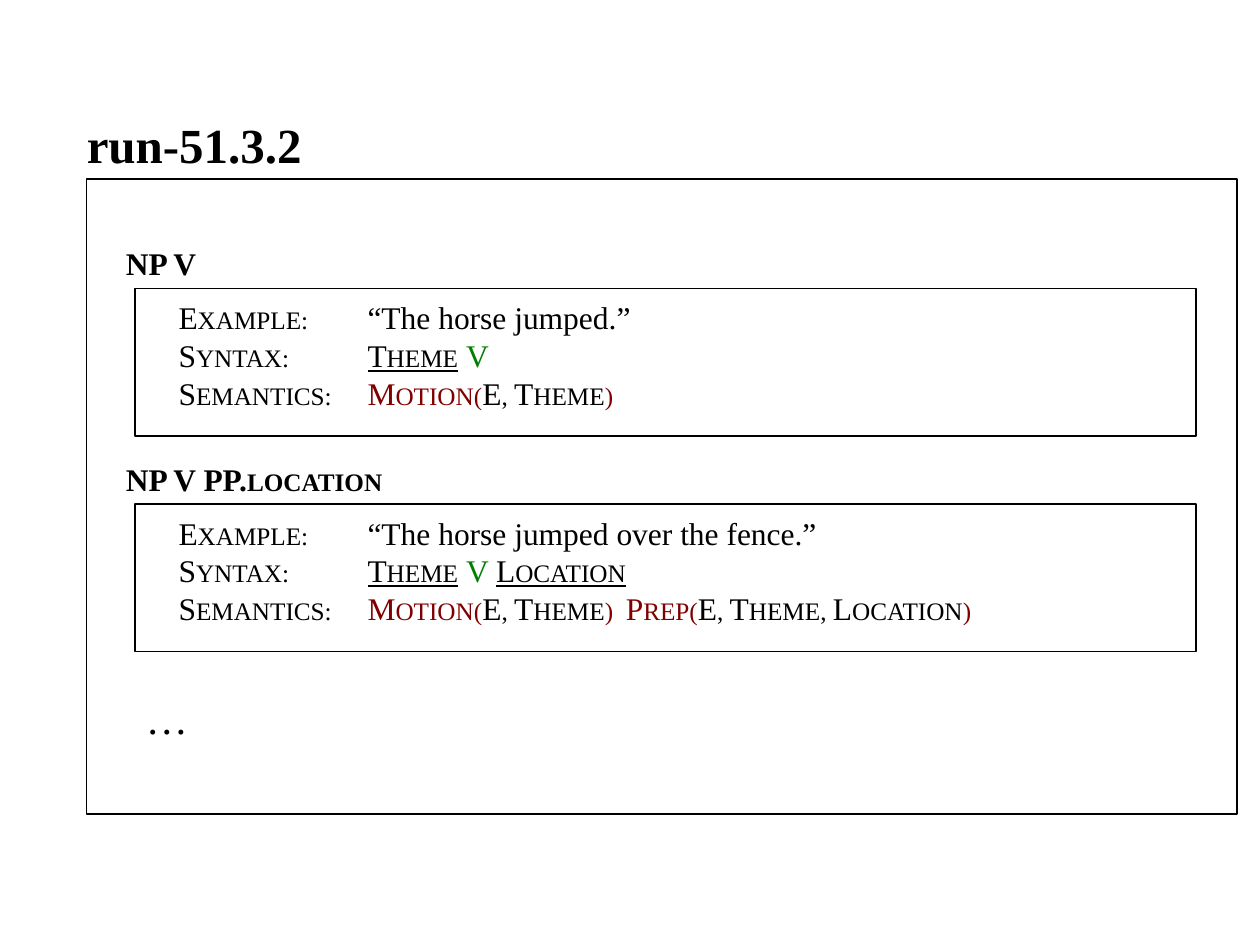
from dataclasses import dataclass

from lxml.etree import SubElement
from pptx import Presentation
from pptx.dml.color import RGBColor
from pptx.enum.shapes import MSO_SHAPE as Preset
from pptx.oxml.ns import qn
from pptx.util import Cm, Pt


@dataclass(frozen=True)
class Theme:
    font: str = "Times New Roman"
    ink: str = "000000"
    verb: str = "008000"
    predicate: str = "800000"
    title_size: int = 28
    dots_size: int = 24
    body_size: int = 18
    line_width: float = 0.75
    value_tab: float = 3.81


THEME = Theme()


@dataclass(frozen=True)
class Span:
    text: str
    color: str = THEME.ink
    small_caps: bool = False
    underline: bool = False
    bold: bool = False


def plain(text):
    return Span(text)


def bold(text, small_caps=False):
    return Span(text, bold=True, small_caps=small_caps)


def small(text):
    return Span(text, small_caps=True)


def role(text):
    return Span(text, small_caps=True, underline=True)


def verb(text):
    return Span(text, THEME.verb)


def predicate(text):
    return Span(text, THEME.predicate, small_caps=True)


def add_span(paragraph, span, size):
    run = paragraph.add_run()
    run.text = span.text
    font = run.font
    font.name = THEME.font
    font.size = Pt(size)
    font.bold = span.bold
    font.underline = span.underline
    font.color.rgb = RGBColor.from_string(span.color)
    if span.small_caps:
        font._element.set("cap", "small")


def add_value_tab(paragraph):
    tabs = SubElement(paragraph._p.get_or_add_pPr(), qn("a:tabLst"))
    SubElement(tabs, qn("a:tab"), pos=str(Cm(THEME.value_tab)), algn="l")


def add_text(shapes, left, top, width, height, lines, size, tabbed=False):
    box = shapes.add_textbox(Cm(left), Cm(top), Cm(width), Cm(height))
    frame = box.text_frame
    frame.word_wrap = True
    for index, spans in enumerate(lines):
        paragraph = frame.add_paragraph() if index else frame.paragraphs[0]
        if tabbed:
            add_value_tab(paragraph)
        for span in spans:
            add_span(paragraph, span, size)


def add_outline(shapes, left, top, width, height):
    outline = shapes.add_shape(Preset.RECTANGLE, Cm(left), Cm(top), Cm(width), Cm(height))
    outline.shadow.inherit = False
    outline.fill.background()
    outline.line.color.rgb = RGBColor.from_string(THEME.ink)
    outline.line.width = Pt(THEME.line_width)


def add_verb_frame(slide, top, label, label_width, text_height, example, syntax, semantics):
    shapes = slide.shapes.add_group_shape().shapes
    lines = [
        [small("Example:\t"), plain(example)],
        [small("Syntax:\t"), *syntax],
        [small("Semantics:\t"), *semantics],
    ]
    add_text(shapes, 2.29, top, label_width, 1.02, [label], THEME.body_size)
    add_text(shapes, 3.35, top + 1.09, 20.73, text_height, lines, THEME.body_size, tabbed=True)
    add_outline(shapes, 2.72, top + 1.02, 21.39, 2.97)


def main():
    presentation = Presentation()
    presentation.slide_width = Cm(25.4)
    presentation.slide_height = Cm(19.05)
    slide = presentation.slides.add_slide(presentation.slide_layouts[6])

    theme_role = role("Theme")
    motion = [predicate("Motion("), small("E, Theme")]
    first_top, step = 4.8, 4.34

    add_verb_frame(
        slide, first_top, [bold("NP V")], 3.94, 2.57,
        "“The horse jumped.”",
        [theme_role, plain(" "), verb("V")],
        [*motion, predicate(")")],
    )
    add_verb_frame(
        slide, first_top + step,
        [bold("NP V PP."), bold("location", small_caps=True)], 18.19, 3.33,
        "“The horse jumped over the fence.”",
        [theme_role, plain(" "), verb("V "), role("Location")],
        [*motion, predicate(")  Prep("), small("E, Theme, Location"), predicate(")")],
    )
    add_outline(slide.shapes, 1.75, 3.61, 23.19, 12.8)
    add_text(slide.shapes, 1.5, 2.18, 5.11, 1.45, [[bold("run-51.3.2")]], THEME.title_size)
    add_text(slide.shapes, 2.69, 13.84, 1.42, 1.27, [[plain("…")]], THEME.dots_size)

    presentation.save("out.pptx")


if __name__ == "__main__":
    main()
